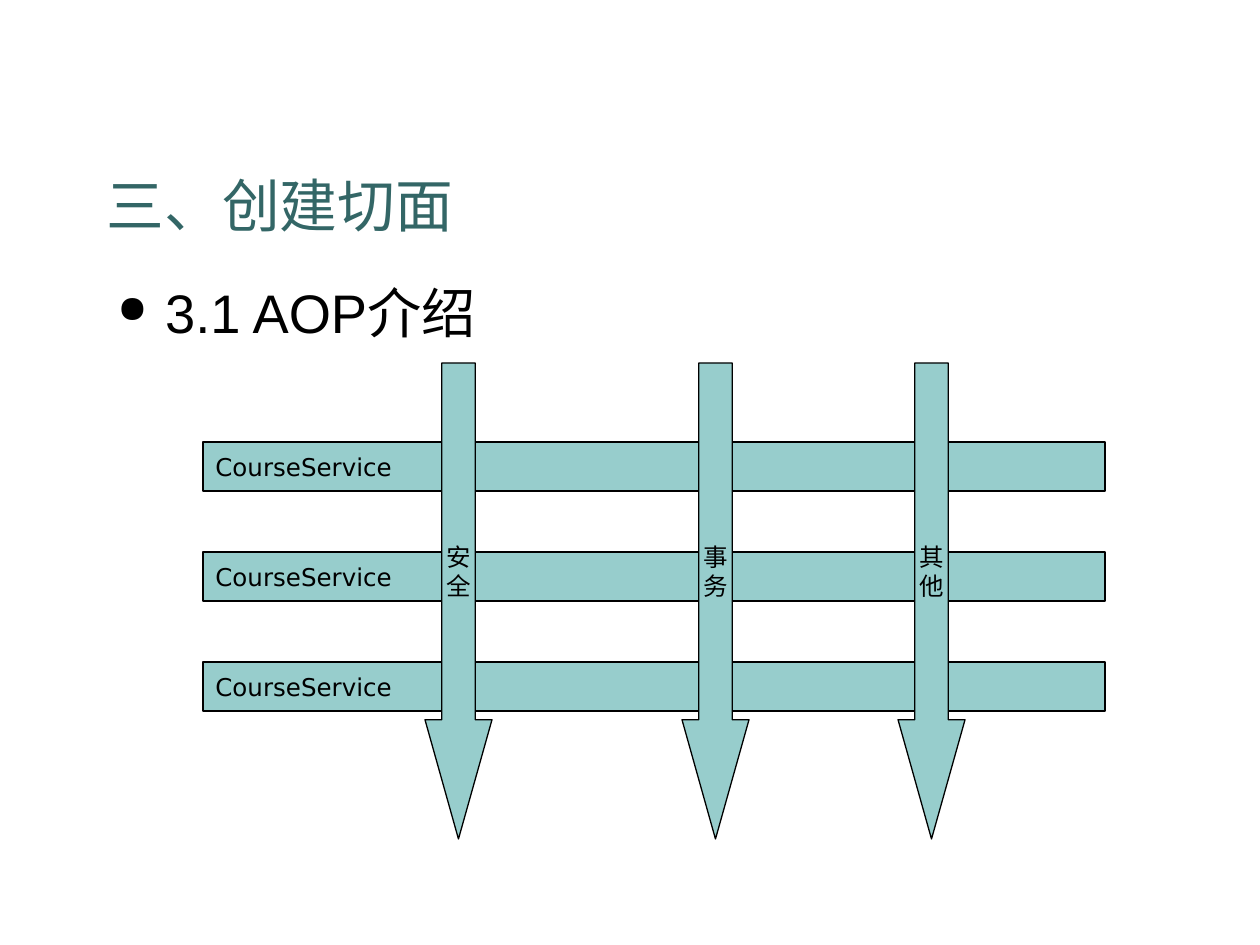
from lxml.etree import SubElement
from pptx import Presentation
from pptx.dml.color import RGBColor
from pptx.enum.shapes import MSO_SHAPE
from pptx.enum.text import MSO_ANCHOR, MSO_AUTO_SIZE, PP_ALIGN
from pptx.oxml.ns import qn
from pptx.util import Emu, Inches, Pt

BLACK = RGBColor(0x00, 0x00, 0x00)
TEAL = RGBColor(0x33, 0x66, 0x66)
AQUA = RGBColor(0x97, 0xCD, 0xCC)


def box(*lengths):
    return [Emu(round(length * 914400 / 126)) for length in lengths]


def add_labelled_shape(kind, bounds, lines, alignment):
    shape = slide.shapes.add_shape(kind, *box(*bounds))
    shape.shadow.inherit = False
    shape.fill.solid()
    shape.fill.fore_color.rgb = AQUA
    shape.line.color.rgb = BLACK
    shape.line.width = Pt(0.75)
    frame = shape.text_frame
    frame.word_wrap = False
    frame.vertical_anchor = MSO_ANCHOR.MIDDLE
    frame.text = "\n".join(lines)
    for paragraph in frame.paragraphs:
        paragraph.alignment = alignment
        paragraph.font.name = "DejaVu Sans"
        paragraph.font.size = Pt(14)
        paragraph.font.color.rgb = BLACK
    return shape


presentation = Presentation()
presentation.slide_width = Inches(10)
presentation.slide_height = Inches(7.5)
slide = presentation.slides.add_slide(presentation.slide_layouts[5])

title = slide.shapes.title
title.left, title.top, title.width, title.height = box(94, 139, 1061, 106)
title.text_frame.text = "三、创建切面"
title.text_frame.auto_size = MSO_AUTO_SIZE.NONE
title.text_frame.vertical_anchor = MSO_ANCHOR.BOTTOM
paragraph = title.text_frame.paragraphs[0]
paragraph.alignment = PP_ALIGN.LEFT
paragraph.font.name = "Montserrat"
paragraph.font.size = Pt(33)
paragraph.font.color.rgb = TEAL

heading = slide.shapes.add_textbox(*box(105, 273, 1061, 79))
heading.text_frame.word_wrap = True
paragraph = heading.text_frame.paragraphs[0]
paragraph.text = "3.1 AOP介绍"
paragraph.space_before = Pt(7.7)
paragraph.font.name = "Arial"
paragraph.font.size = Pt(31)
paragraph.font.color.rgb = BLACK
properties = paragraph._p.get_or_add_pPr()
properties.set("marL", str(Inches(0.38)))
properties.set("indent", str(Inches(-0.38)))
bullet_size = SubElement(properties, qn("a:buSzPct"))
bullet_size.set("val", "70000")
bullet = SubElement(properties, qn("a:buChar"))
bullet.set("char", "●")
properties.append(properties.find(qn("a:defRPr")))

for row in range(3):
    add_labelled_shape(
        MSO_SHAPE.RECTANGLE, (203, 442 + 110 * row, 902, 49), ["CourseService"], PP_ALIGN.LEFT
    )

for left, concern in [(425, "安全"), (682, "事务"), (898, "其他")]:
    arrow = add_labelled_shape(MSO_SHAPE.DOWN_ARROW, (left, 363, 67, 476), concern, PP_ALIGN.CENTER)
    arrow.adjustments[0] = 0.5
    arrow.adjustments[1] = 1.78

presentation.save("out.pptx")
